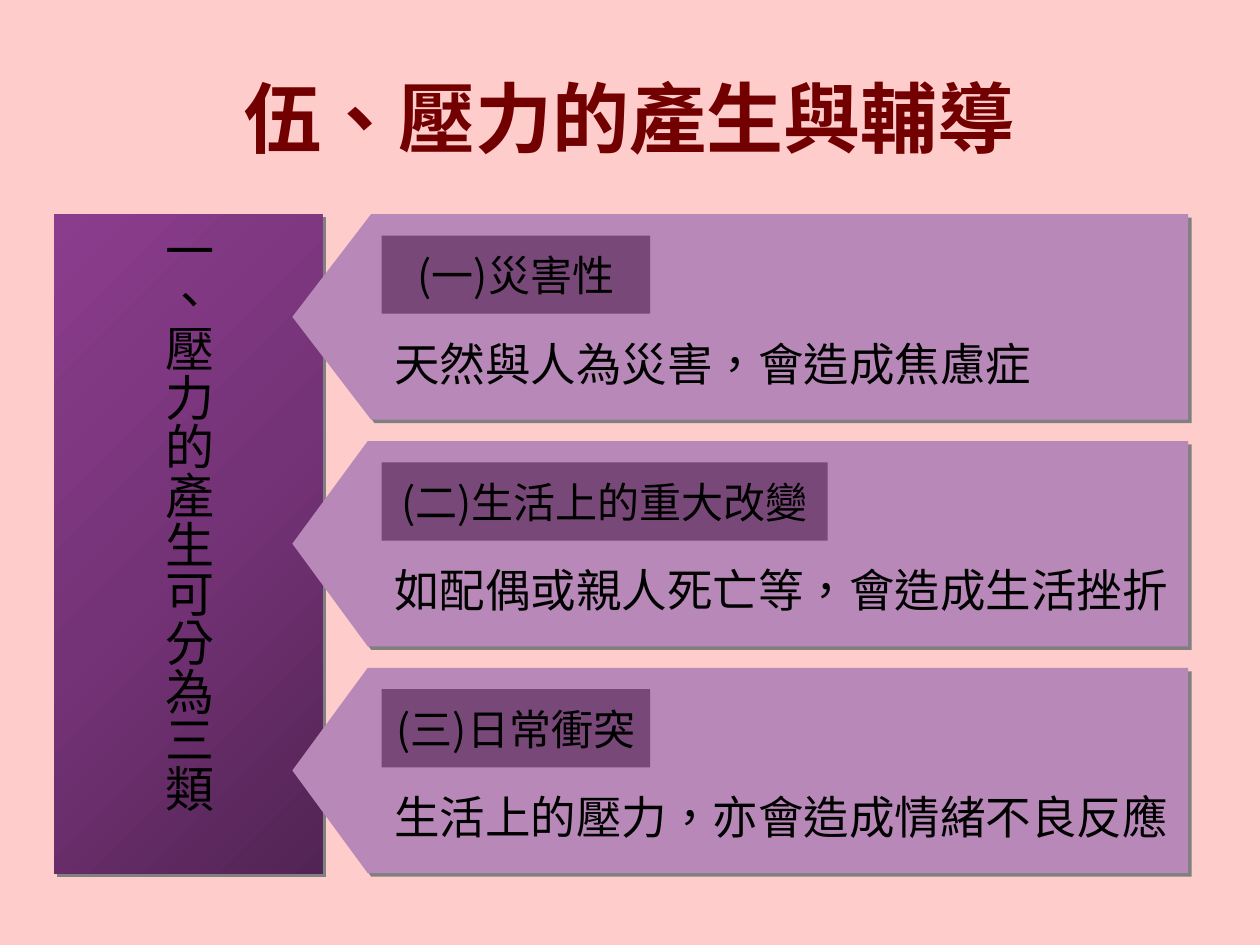
from dataclasses import dataclass

from lxml.etree import SubElement
from pptx import Presentation
from pptx.dml.color import RGBColor
from pptx.enum.shapes import MSO_SHAPE as Preset
from pptx.enum.text import MSO_ANCHOR as Anchor, PP_ALIGN as Align
from pptx.oxml import parse_xml
from pptx.oxml.ns import nsdecls, qn
from pptx.util import Inches, Pt

FONT = "Noto Sans CJK SC"
PINK = RGBColor(0xFF, 0xCC, 0xCC)
MAROON = RGBColor(0x73, 0x00, 0x00)
BLACK = RGBColor(0x00, 0x00, 0x00)
LILAC = RGBColor(0xB8, 0x88, 0xB8)
PLUM = RGBColor(0x78, 0x48, 0x78)
SHADOW_GRAY = RGBColor(0x80, 0x80, 0x80)
PANEL_STOPS = {
    0: RGBColor(0x52, 0x24, 0x54),
    50: RGBColor(0x75, 0x33, 0x77),
    100: RGBColor(0x8B, 0x3D, 0x8D),
}

FIRST_TOP = 1.7
ROW_STEP = 1.8
ROW_HEIGHT = 1.63
TEXT_LEFT = 3.03


@dataclass
class Category:
    heading: str
    detail: str
    heading_width: float
    detail_width: float
    point: float


CATEGORIES = [
    Category("(一)災害性", "天然與人為災害，會造成焦慮症", 2.13, 5.28, 0.383),
    Category("(二)生活上的重大改變", "如配偶或親人死亡等，會造成生活挫折", 3.54, 6.3, 0.367),
    Category("(三)日常衝突", "生活上的壓力，亦會造成情緒不良反應", 2.13, 6.3, 0.367),
]


def write_text(shape, text: str, *, size: float, color: RGBColor = BLACK,
               bold: bool = False, align: Align = Align.CENTER,
               wrap: bool = False) -> None:
    frame = shape.text_frame
    frame.word_wrap = wrap
    frame.vertical_anchor = Anchor.MIDDLE
    paragraph = frame.paragraphs[0]
    paragraph.alignment = align
    run = paragraph.add_run()
    run.text = text
    font = run.font
    font.name, font.size, font.bold = FONT, Pt(size), bold
    font.color.rgb = color
    properties = run._r.get_or_add_rPr()
    properties.set("lang", "zh-TW")
    SubElement(properties, qn("a:ea")).set("typeface", FONT)


def add_block(shapes, preset: Preset, left: float, top: float, width: float,
              height: float, color: RGBColor):
    """Add a borderless, shadowless shape with a solid fill."""
    shape = shapes.add_shape(preset, Inches(left), Inches(top),
                             Inches(width), Inches(height))
    shape.shadow.inherit = False
    shape.fill.solid()
    shape.fill.fore_color.rgb = color
    shape.line.fill.background()
    return shape


def add_shadow(shape) -> None:
    effects = shape._element.spPr.find(qn("a:effectLst"))
    effects.append(parse_xml(
        f'<a:outerShdw {nsdecls("a")} dist="{Pt(2.8)}" dir="2700000" algn="ctr" '
        f'rotWithShape="0"><a:srgbClr val="{SHADOW_GRAY}"/></a:outerShdw>'))


def set_corner_gradient(shape, stops: dict[int, RGBColor]) -> None:
    """Fill with a circular gradient that starts at the lower right corner."""
    stop_xml = "".join(
        f'<a:gs pos="{position * 1000}"><a:srgbClr val="{color}"/></a:gs>'
        for position, color in stops.items())
    properties = shape._element.spPr
    properties.replace(properties.find(qn("a:solidFill")), parse_xml(
        f'<a:gradFill {nsdecls("a")} rotWithShape="0"><a:gsLst>{stop_xml}</a:gsLst>'
        '<a:path path="circle"><a:fillToRect l="100000" t="100000"/></a:path>'
        '</a:gradFill>'))


def add_title(slide) -> None:
    title = slide.shapes.title
    title.left, title.top = Inches(0.5), Inches(0.3)
    title.width, title.height = Inches(9), Inches(1.25)
    write_text(title, "伍、壓力的產生與輔導", size=44, color=MAROON, bold=True, wrap=True)


def add_side_panel(slide) -> None:
    height = ROW_STEP * (len(CATEGORIES) - 1) + ROW_HEIGHT
    panel = add_block(slide.shapes, Preset.PENTAGON, 0.43, FIRST_TOP, 2.13, height, PLUM)
    panel.adjustments[0] = 0
    set_corner_gradient(panel, PANEL_STOPS)
    add_shadow(panel)
    write_text(panel, "一、壓力的產生可分為三類", size=28)
    panel.text_frame._txBody.bodyPr.set("vert", "eaVert")


def add_category(slide, category: Category, top: float) -> None:
    shapes = slide.shapes.add_group_shape().shapes
    arrow = add_block(shapes, Preset.PENTAGON, 2.32, top, 7.11, ROW_HEIGHT, LILAC)
    arrow.rotation = 180
    arrow.adjustments[0] = category.point
    add_shadow(arrow)
    detail = add_block(shapes, Preset.RECTANGLE, TEXT_LEFT, top + 0.88,
                       category.detail_width, 0.6, LILAC)
    write_text(detail, category.detail, size=26, align=Align.LEFT)
    heading = add_block(shapes, Preset.RECTANGLE, TEXT_LEFT, top + 0.17,
                        category.heading_width, 0.62, PLUM)
    write_text(heading, category.heading, size=24)


def main() -> None:
    presentation = Presentation()
    presentation.slide_width, presentation.slide_height = Inches(10), Inches(7.5)
    slide = presentation.slides.add_slide(presentation.slide_layouts[5])
    slide.background.fill.solid()
    slide.background.fill.fore_color.rgb = PINK
    add_title(slide)
    add_side_panel(slide)
    for index, category in enumerate(CATEGORIES):
        add_category(slide, category, FIRST_TOP + index * ROW_STEP)
    presentation.save("out.pptx")


if __name__ == "__main__":
    main()
